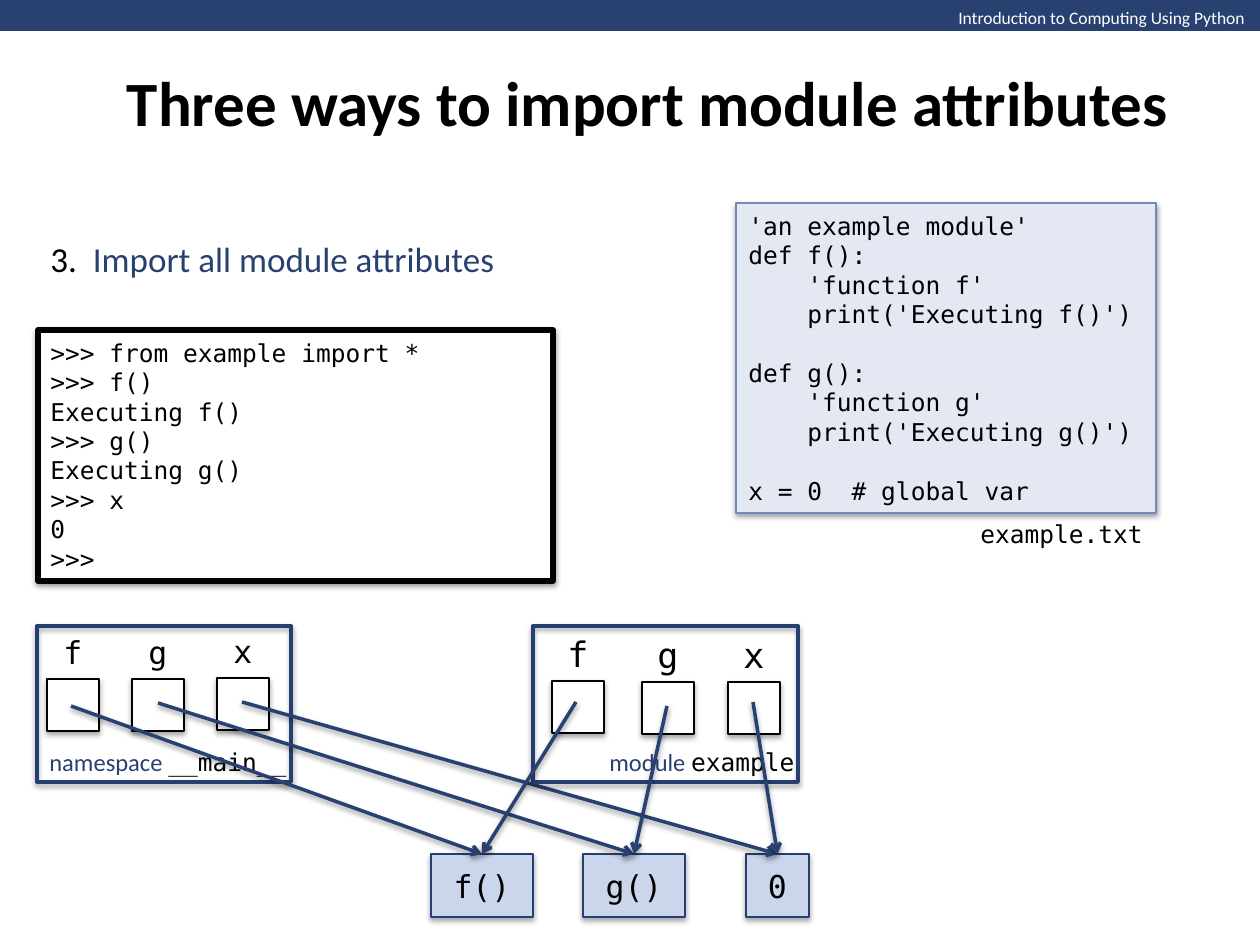
from lxml import etree
from pptx import Presentation, util as u
from pptx.dml.color import RGBColor
from pptx.enum import shapes, text
from pptx.oxml.ns import qn

SCALE = 914400 / 126
SANS, MONO = "Calibri", "DejaVu Sans Mono"
NAVY, EDGE, BLACK, WHITE = "294171", "263F70", "000000", "FFFFFF"
LEFT, CENTER = text.PP_ALIGN.LEFT, text.PP_ALIGN.CENTER

MODULE_CODE = """'an example module'
def f():
    'function f'
    print('Executing f()')

def g():
    'function g'
    print('Executing g()')

x = 0  # global var"""

SHELL_CODE = """>>> from example import *
>>> f()
Executing f()
>>> g()
Executing g()
>>> x
0
>>>"""

OBJECTS = [("f()", 431, 102), ("g()", 583, 102), ("0", 746, 63)]
OBJECT_TOP = 854


def px(*lengths):
    """Turn pixel lengths into EMU."""
    return [u.Emu(round(n * SCALE)) for n in lengths]


def color(hex_string):
    """Return the colour for a hex string."""
    return RGBColor.from_string(hex_string)


def add_run(p, words, size, font, ink, bold=False):
    """Add one formatted run to a paragraph."""
    r = p.add_run()
    r.text = words
    r.font.size, r.font.name, r.font.bold = u.Pt(size), font, bold
    r.font.color.rgb = color(ink)


def add_shadow(effects, alpha, distance):
    """Put a soft downward shadow in an effect list."""
    shadow = etree.SubElement(effects, qn("a:outerShdw"), blurRad="40000",
                              dist=str(distance), dir="5400000", rotWithShape="0")
    ink = etree.SubElement(shadow, qn("a:srgbClr"), val=BLACK)
    etree.SubElement(ink, qn("a:alpha"), val=str(alpha * 1000))


def add_box(s, at, fill=None, line=None, width=0.75, shadow=(35, 23000)):
    """Add a rectangle with optional fill, outline and shadow."""
    sp = s.shapes.add_shape(shapes.MSO_SHAPE.RECTANGLE, *px(*at))
    sp.shadow.inherit = False
    if fill:
        sp.fill.solid()
        sp.fill.fore_color.rgb = color(fill)
    else:
        sp.fill.background()
    if line:
        sp.line.color.rgb = color(line)
        sp.line.width = u.Pt(width)
    else:
        sp.line.fill.background()
    if shadow:
        add_shadow(sp._element.spPr.find(qn("a:effectLst")), *shadow)
    return sp


def write_lines(sp, lines, size, align=LEFT):
    """Write monospaced lines into a shape, one paragraph each."""
    tf = sp.text_frame
    tf.vertical_anchor = text.MSO_ANCHOR.MIDDLE
    for i, line in enumerate(lines):
        p = tf.add_paragraph() if i else tf.paragraphs[0]
        p.alignment = align
        p.font.size = u.Pt(size)
        if line:
            add_run(p, line, size, MONO, BLACK)


def add_label(s, at, runs, size, align=LEFT):
    """Add a one-line text box from (words, font, colour) runs."""
    tf = s.shapes.add_textbox(*px(*at)).text_frame
    tf.word_wrap = False
    tf.vertical_anchor = text.MSO_ANCHOR.MIDDLE
    p = tf.paragraphs[0]
    p.alignment = align
    for words, font, ink in runs:
        add_run(p, words, size, font, ink)


def add_arrow(s, start, end):
    """Add a shadowed reference arrow."""
    line = s.shapes.add_connector(shapes.MSO_CONNECTOR.STRAIGHT, *px(*start, *end))
    line.line.color.rgb = color(NAVY)
    line.line.width = u.Pt(2)
    etree.SubElement(line.line._get_or_add_ln(), qn("a:tailEnd"), type="arrow")
    effects = etree.SubElement(line._element.spPr, qn("a:effectLst"))
    add_shadow(effects, 38, 20000)


def add_namespace(s, frame, caption_at, caption, size, cells, starts):
    """Add a frame of named cells whose arrows point at the objects."""
    for name, (left, top) in zip("fgx", cells):
        add_box(s, (left, top, 52, 52), WHITE, BLACK)
        add_label(s, (left, top - 53, 52, 52), [(name, MONO, BLACK)], size, CENTER)
    add_box(s, frame, line=EDGE, width=2.25)
    add_label(s, caption_at, caption, 14)
    for start, (_, left, width) in zip(starts, OBJECTS):
        add_arrow(s, start, (left + width / 2, OBJECT_TOP))


def add_title(s, words):
    """Place and format the title."""
    sp = s.shapes.title
    sp.left, sp.top, sp.width, sp.height = px(98, 0, 1099, 203)
    tf = sp.text_frame
    tf.vertical_anchor = text.MSO_ANCHOR.MIDDLE
    tf.paragraphs[0].alignment = CENTER
    add_run(tf.paragraphs[0], words, 36, SANS, BLACK, True)


def main():
    """Build and save the slide."""
    prs = Presentation()
    prs.slide_width, prs.slide_height = px(1260, 945)
    s = prs.slides.add_slide(prs.slide_layouts[5])

    add_box(s, (0, 0, 1260, 31), NAVY, shadow=None)
    add_label(s, (946, 0, 315, 34),
              [("Introduction to Computing Using Python", SANS, WHITE)], 10)
    add_title(s, "Three ways to import module attributes")
    add_label(s, (38, 231, 474, 55),
              [("3.  ", SANS, BLACK), ("Import all module attributes", SANS, NAVY)], 20)

    module = add_box(s, (736, 203, 420, 310), "E3E8F2", "7088BA", shadow=(38, 20000))
    write_lines(module, MODULE_CODE.split("\n"), 14)
    add_label(s, (968, 512, 189, 43), [("example.txt", MONO, BLACK)], 14)
    shell = add_box(s, (38, 330, 515, 251), WHITE, BLACK, 3, (38, 20000))
    write_lines(shell, SHELL_CODE.split("\n"), 14)

    for name, left, width in OBJECTS:
        box = add_box(s, (left, OBJECT_TOP, width, 63), "CBD6EC", EDGE)
        write_lines(box, [name], 18, CENTER)
    add_namespace(s, (37, 626, 254, 156), (37, 740, 266, 43),
                  [("namespace ", SANS, NAVY), ("__main__", MONO, BLACK)], 18,
                  [(47, 679), (132, 679), (217, 678)],
                  [(71, 706), (158, 703), (242, 702)])
    add_namespace(s, (533, 626, 265, 156), (597, 740, 212, 43),
                  [("module ", SANS, NAVY), ("example", MONO, BLACK)], 20,
                  [(552, 681), (642, 682), (728, 682)],
                  [(576, 702), (667, 706), (753, 702)])
    prs.save("out.pptx")


if __name__ == "__main__":
    main()
